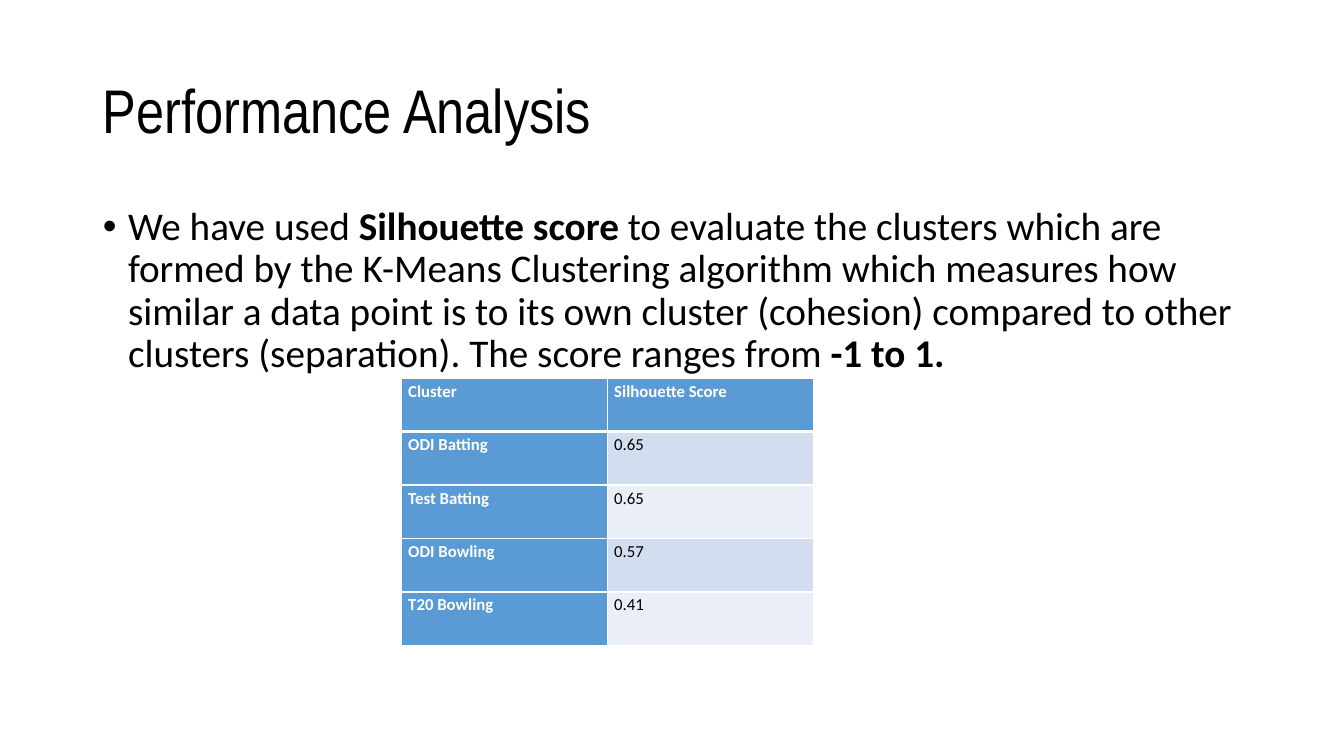
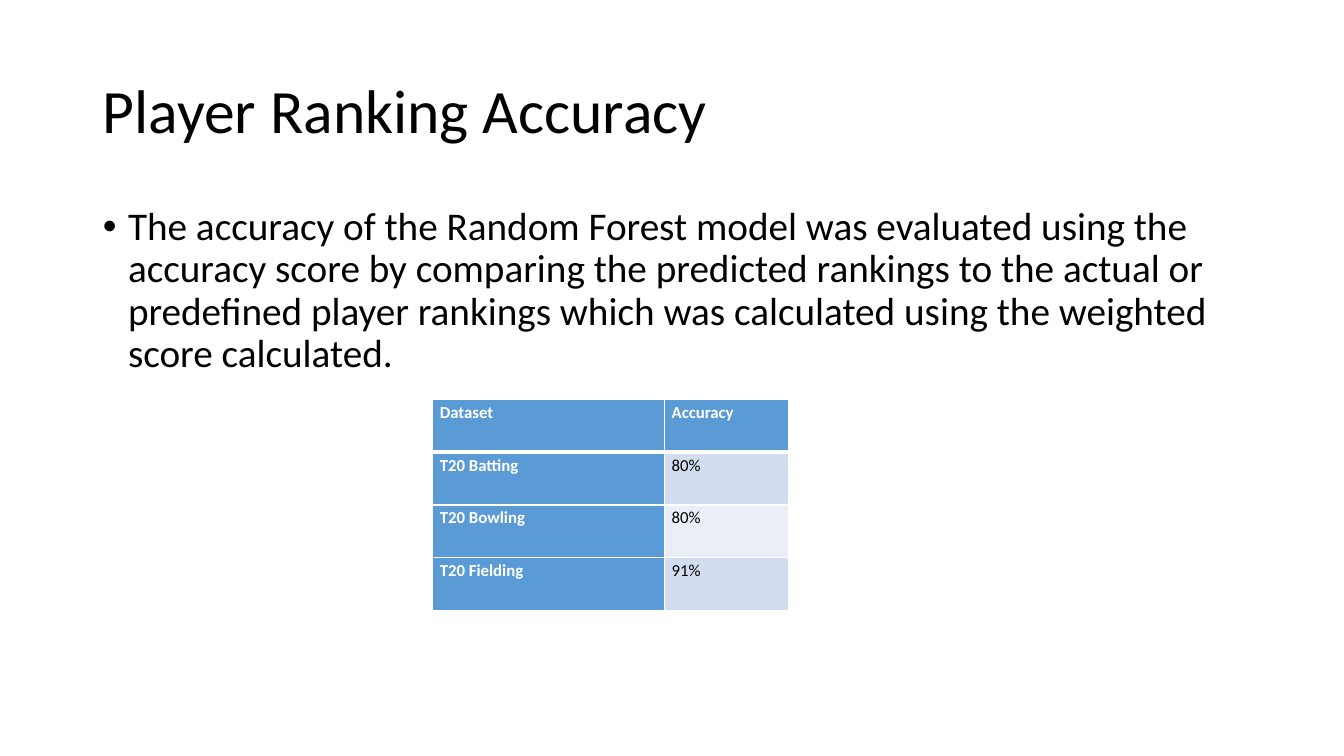
from lxml import etree
from pptx import Presentation
from pptx import util as u
from pptx.dml.color import RGBColor
from pptx.enum import text
from pptx.oxml import ns

WIDTH, HEIGHT = u.Inches(13.33), u.Inches(7.5)
BLACK, WHITE, BLUE = "000000", "FFFFFF", "5B9BD5"
BANDS = ("D2DEEF", "EAEFF7")
TITLE_BOX = (6.9, 5.33, 86.25, 19.33)
BODY_BOX = (6.9, 26.67, 86.25, 63.47)


def across(percent):
    return int(WIDTH * percent / 100)


def down(percent):
    return int(HEIGHT * percent / 100)


def color(value):
    return RGBColor.from_string(value)


def set_font(font, name, size, value, bold=False):
    font.name, font.size, font.bold = name, u.Pt(size), bold
    font.color.rgb = color(value)


def place(sp, box, anchor):
    left, top, width, height = box
    sp.left, sp.top = across(left), down(top)
    sp.width, sp.height = across(width), down(height)
    tf = sp.text_frame
    tf.word_wrap = True
    tf.auto_size = text.MSO_AUTO_SIZE.NONE
    tf.vertical_anchor = anchor
    p = tf.paragraphs[0]
    p.alignment = text.PP_ALIGN.LEFT
    p.line_spacing = 0.9
    return p


def add_title(s, words, font_name):
    p = place(s.shapes.title, TITLE_BOX, text.MSO_ANCHOR.MIDDLE)
    p.text = words
    set_font(p.font, font_name, 44, BLACK)


def add_bullet(s, runs):
    p = place(s.placeholders[1], BODY_BOX, text.MSO_ANCHOR.TOP)
    p.space_before = u.Pt(10)
    pPr = p._p.get_or_add_pPr()
    pPr.set("marL", str(u.Inches(0.25)))
    pPr.set("indent", str(-u.Inches(0.25)))
    set_font(p.font, "Calibri", 28, BLACK)
    for words, bold in runs:
        r = p.add_run()
        r.text = words
        if bold:
            r.font.bold = True


def add_borders(cell, top, bottom):
    tcPr = cell._tc.get_or_add_tcPr()
    sides = (("lnL", 1), ("lnR", 1), ("lnT", top), ("lnB", bottom))
    for i, (tag, points) in enumerate(sides):
        line = etree.Element(ns.qn("a:" + tag), w=str(u.Pt(points)))
        fill = etree.SubElement(line, ns.qn("a:solidFill"))
        etree.SubElement(fill, ns.qn("a:srgbClr"), val=WHITE)
        tcPr.insert(i, line)


def fill_cell(cell, words, row, column, alignment):
    accent = row == 0 or column == 0
    cell.fill.solid()
    cell.fill.fore_color.rgb = color(BLUE if accent else BANDS[(row - 1) % 2])
    add_borders(cell, 3 if row == 1 else 1, 3 if row == 0 else 1)
    cell.margin_left = cell.margin_right = u.Inches(0.07)
    cell.margin_top = cell.margin_bottom = 0
    p = cell.text_frame.paragraphs[0]
    p.text = words
    p.alignment = alignment
    p.line_spacing = 1.15
    p.space_after = u.Pt(8)
    set_font(p.font, "Calibri", 12, WHITE if accent else BLACK, accent)


def add_score_table(s, left, top, columns, row_height, rows, alignment):
    frame = s.shapes.add_table(
        len(rows), len(columns), across(left), down(top),
        across(sum(columns)), down(row_height * len(rows)))
    table = frame.table
    for column, width in zip(table.columns, columns):
        column.width = across(width)
    for i, row in enumerate(rows):
        table.rows[i].height = down(row_height)
        for j, words in enumerate(row):
            fill_cell(table.cell(i, j), words, i, j, alignment)


def add_content_slide(prs, title, title_font, runs):
    s = prs.slides.add_slide(prs.slide_layouts[1])
    add_title(s, title, title_font)
    add_bullet(s, runs)
    return s


def main():
    prs = Presentation()
    prs.slide_width, prs.slide_height = WIDTH, HEIGHT

    s = add_content_slide(prs, "Performance Analysis", "Arial Narrow", [
        ("We have used ", False),
        ("Silhouette score ", True),
        ("to evaluate the clusters which are formed by the K-Means Clustering "
         "algorithm which measures how similar a data point is to its own "
         "cluster (cohesion) compared to other clusters (separation). "
         "The score ranges from ", False),
        ("-1 to 1.", True),
    ])
    add_score_table(s, 29.85, 50, (15.33, 15.33), 7.08, [
        ("Cluster", "Silhouette Score"),
        ("ODI Batting", "0.65"),
        ("Test Batting", "0.65"),
        ("ODI Bowling", "0.57"),
        ("T20 Bowling", "0.41"),
    ], text.PP_ALIGN.LEFT)

    s = add_content_slide(prs, "Player Ranking Accuracy", "Calibri", [
        ("The accuracy of the Random Forest model was evaluated using the "
         "accuracy score by comparing the predicted rankings to the actual or "
         "predefined player rankings which was calculated using the weighted "
         "score calculated.", False),
    ])
    add_score_table(s, 32.2, 52.8, (17.25, 9.23), 7, [
        ("Dataset", "Accuracy"),
        ("T20 Batting", "80%"),
        ("T20 Bowling", "80%"),
        ("T20 Fielding", "91%"),
    ], text.PP_ALIGN.JUSTIFY)

    prs.save("out.pptx")


if __name__ == "__main__":
    main()
